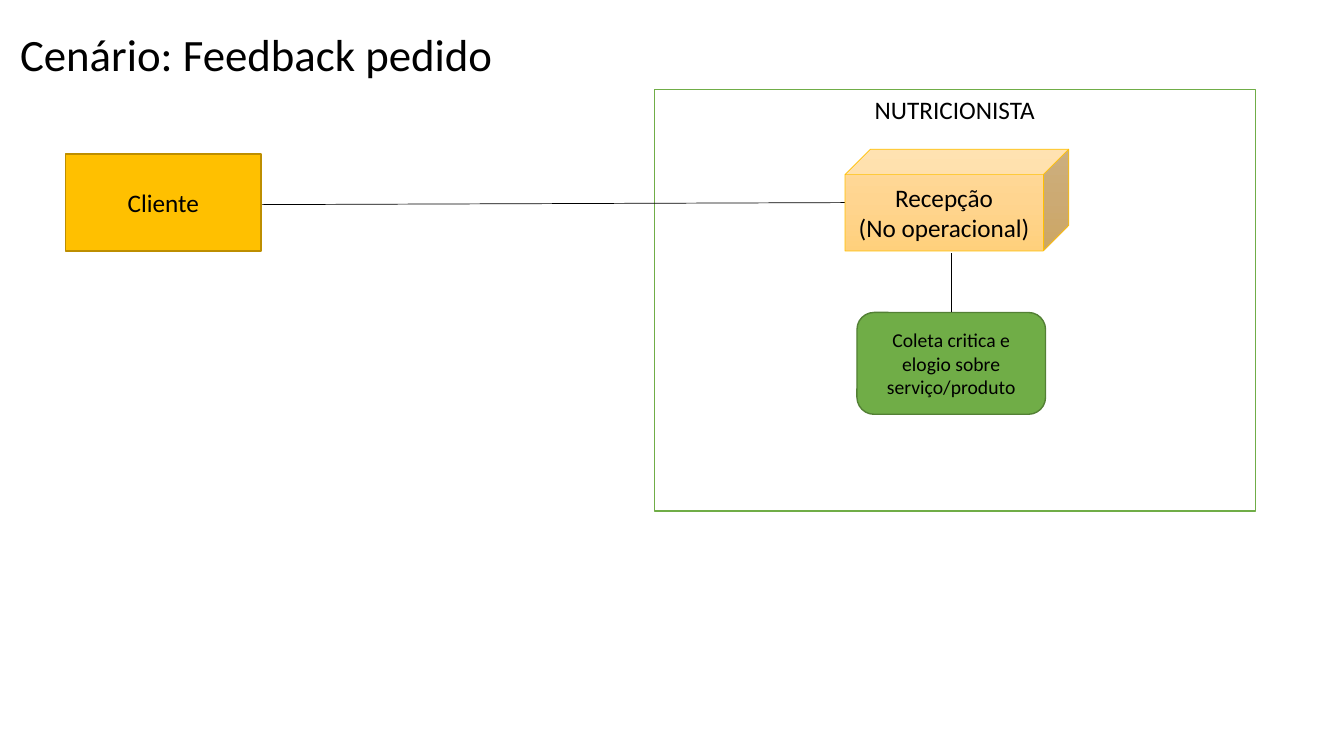
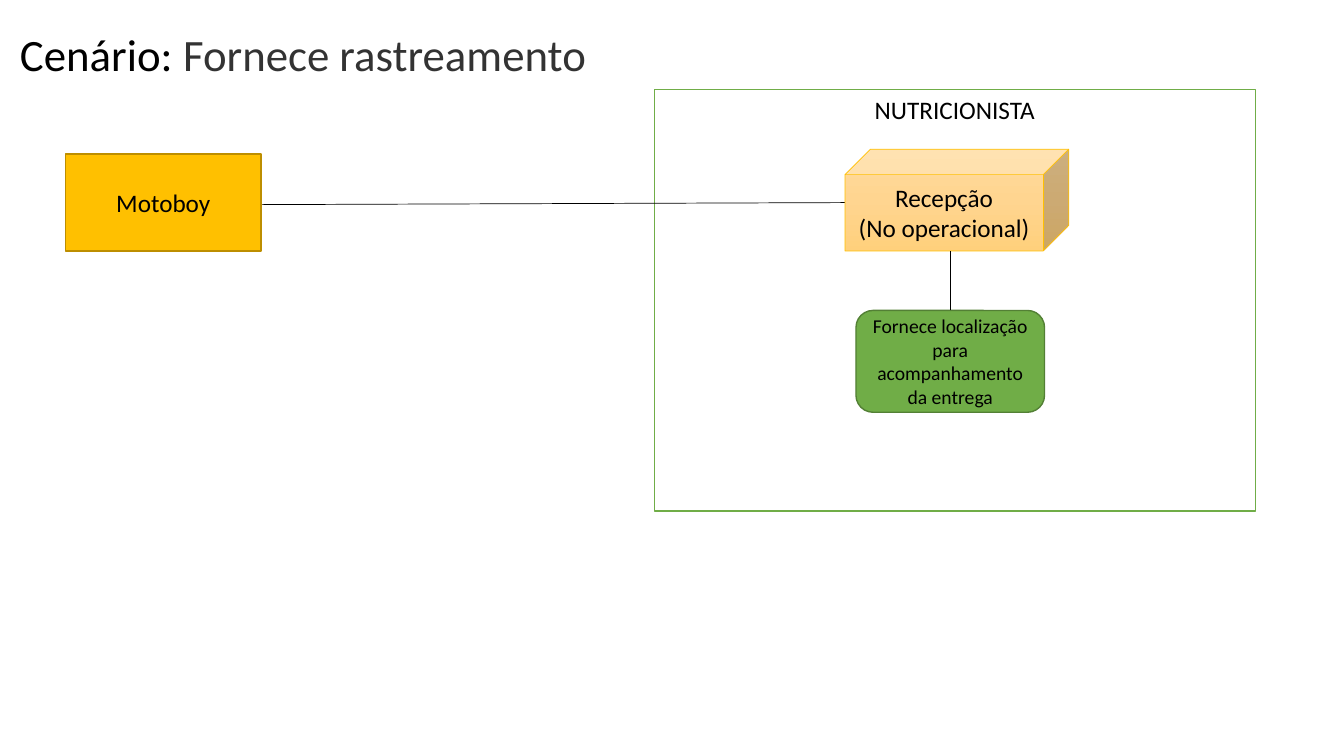
from copy import deepcopy

from pptx import Presentation
from pptx.dml.color import RGBColor
from pptx.enum.shapes import MSO_CONNECTOR as Link, MSO_SHAPE as Kind
from pptx.enum.text import MSO_ANCHOR as Anchor, MSO_AUTO_SIZE as Fit, PP_ALIGN as Align
from pptx.oxml.ns import qn
from pptx.oxml.xmlchemy import OxmlElement as Node
from pptx.util import Inches, Pt

BLACK = RGBColor(0x00, 0x00, 0x00)
GRAY = RGBColor(0x33, 0x33, 0x33)
WHITE = RGBColor(0xFF, 0xFF, 0xFF)
GREEN = RGBColor(0x70, 0xAD, 0x47)
MOSS = RGBColor(0x53, 0x80, 0x35)
GOLD = RGBColor(0xFF, 0xC0, 0x00)
BRONZE = RGBColor(0xBD, 0x8E, 0x00)
PEACH = [(0, RGBColor(0xFF, 0xDB, 0x9E)),
         (0.5, RGBColor(0xFF, 0xD5, 0x90)),
         (1, RGBColor(0xFF, 0xD0, 0x7C))]

PANEL = (6.49, 0.89, 5.96, 4.18)
ACTOR = (0.65, 1.53, 1.94, 0.96)
DESK = (8.38, 1.48, 2.22, 1.01)
TASK = (1.87, 1.01)
STEM = 0.59

SCENES = [
    {"title": [("Cenário: Feedback pedido", BLACK)], "size": (4.92, 0.64),
     "actor": "Cliente", "spot": (8.5, 3.1),
     "task": "Coleta critica e elogio sobre serviço/produto"},
    {"title": [("Cenário: ", BLACK), ("Fornece rastreamento", GRAY)],
     "size": (5.96, 1.18), "actor": "Motoboy", "spot": (8.49, 3.08),
     "task": "Fornece localização para acompanhamento da entrega"},
]


def write(para, text, size, color=BLACK):
    """Add one run of text to a paragraph."""
    run = para.add_run()
    run.text = text
    for name, value in {"name": "Calibri", "size": Pt(size)}.items():
        setattr(run.font, name, value)
    run.font.color.rgb = color


def block(slide, kind, box, text, fill, edge, width=1, size=18, anchor=Anchor.MIDDLE):
    """Draw a filled shape with centred lines of text."""
    shape = slide.shapes.add_shape(kind, *map(Inches, box))
    shape.shadow.inherit = False
    if isinstance(fill, list):
        blend(shape, fill)
    else:
        shape.fill.solid()
        shape.fill.fore_color.rgb = fill
    shape.line.color.rgb = edge
    shape.line.width = Pt(width)
    frame = shape.text_frame
    for name, value in {"word_wrap": True, "vertical_anchor": anchor}.items():
        setattr(frame, name, value)
    for row, line in enumerate(text.split("\n")):
        para = frame.add_paragraph() if row else frame.paragraphs[0]
        para.alignment = Align.CENTER
        write(para, line, size)


def blend(shape, tones):
    """Fill a shape with a gradient from top to bottom."""
    fill = shape.fill
    fill.gradient()
    fill.gradient_angle = 270
    stops = shape.element.spPr.find(".//" + qn("a:gsLst"))
    while len(stops) < len(tones):
        stops.append(deepcopy(stops[0]))
    for stop, (place, color) in zip(fill.gradient_stops, tones):
        stop.position = place
        stop.color.rgb = color


def join(slide, start, end):
    """Draw a thin black line between two points."""
    line = slide.shapes.add_connector(Link.STRAIGHT, *map(Inches, start + end))
    line.line.color.rgb = BLACK
    line.line.width = Pt(0.5)
    line.element.spPr.append(Node("a:effectLst"))


def head(slide, box, parts):
    """Write the slide title in its coloured parts."""
    frame = slide.shapes.add_textbox(*map(Inches, box)).text_frame
    for name, value in {"word_wrap": True, "auto_size": Fit.SHAPE_TO_FIT_TEXT}.items():
        setattr(frame, name, value)
    for text, color in parts:
        write(frame.paragraphs[0], text, 32, color)


def scene(slide, title, size, actor, spot, task):
    """Lay out one scenario: actor, reception desk and its task."""
    block(slide, Kind.RECTANGLE, PANEL, "NUTRICIONISTA", WHITE, GREEN, anchor=Anchor.TOP)
    join(slide, (ACTOR[0] + ACTOR[2], 2.03), (DESK[0], 2.01))
    head(slide, (0.1, 0.22) + size, title)
    block(slide, Kind.CUBE, DESK, "Recepção\n(No operacional)", PEACH, GOLD, width=0.5)
    block(slide, Kind.RECTANGLE, ACTOR, actor, GOLD, BRONZE)
    block(slide, Kind.ROUNDED_RECTANGLE, spot + TASK, task, GREEN, MOSS, size=14)
    left, top = spot
    mid = left + TASK[0] / 2
    join(slide, (mid, top), (mid, top - STEM))


def main():
    """Build the deck and save it."""
    deck = Presentation()
    deck.slide_width, deck.slide_height = Inches(13.33), Inches(7.5)
    for item in SCENES:
        scene(deck.slides.add_slide(deck.slide_layouts[6]), **item)
    deck.save("out.pptx")


main()
